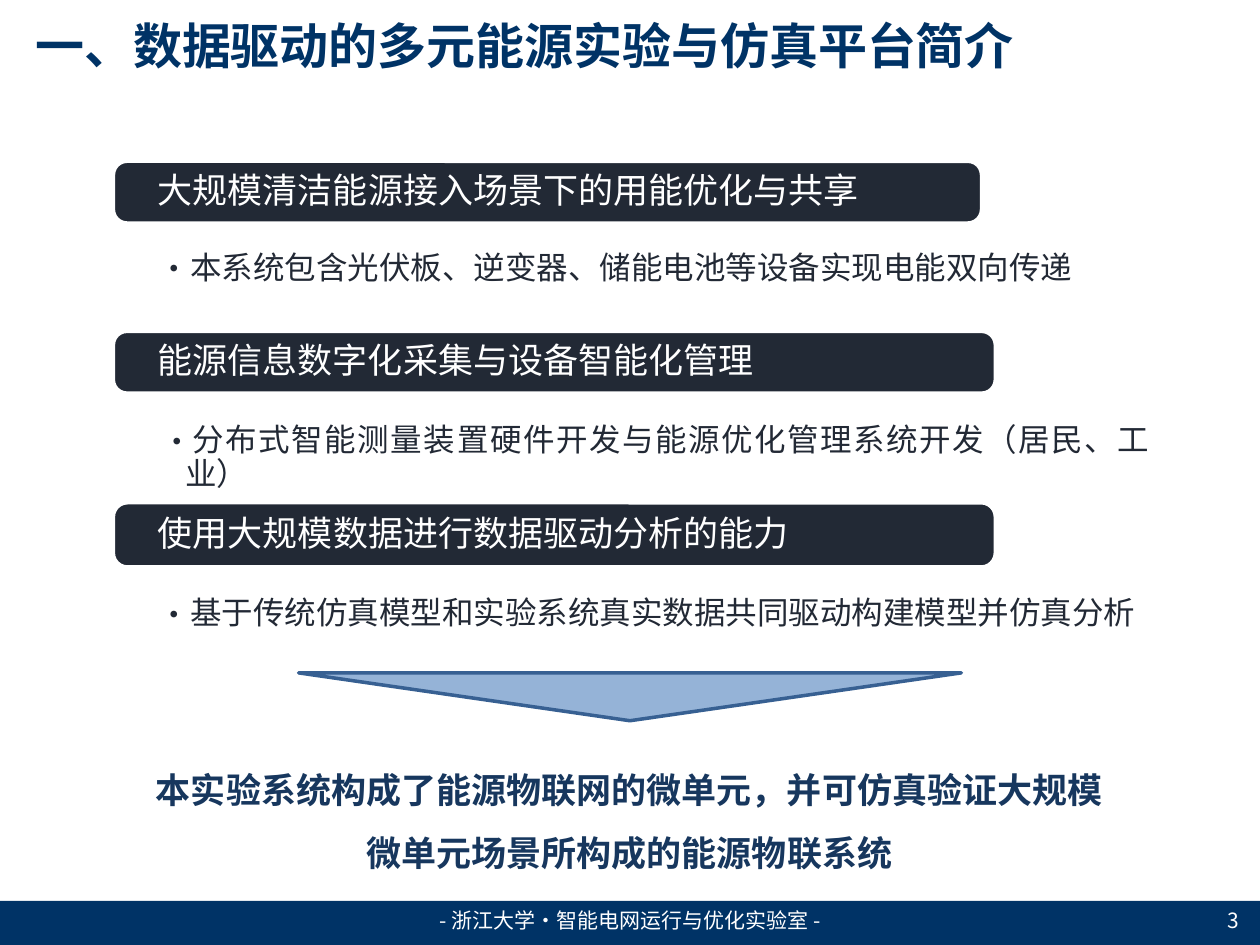
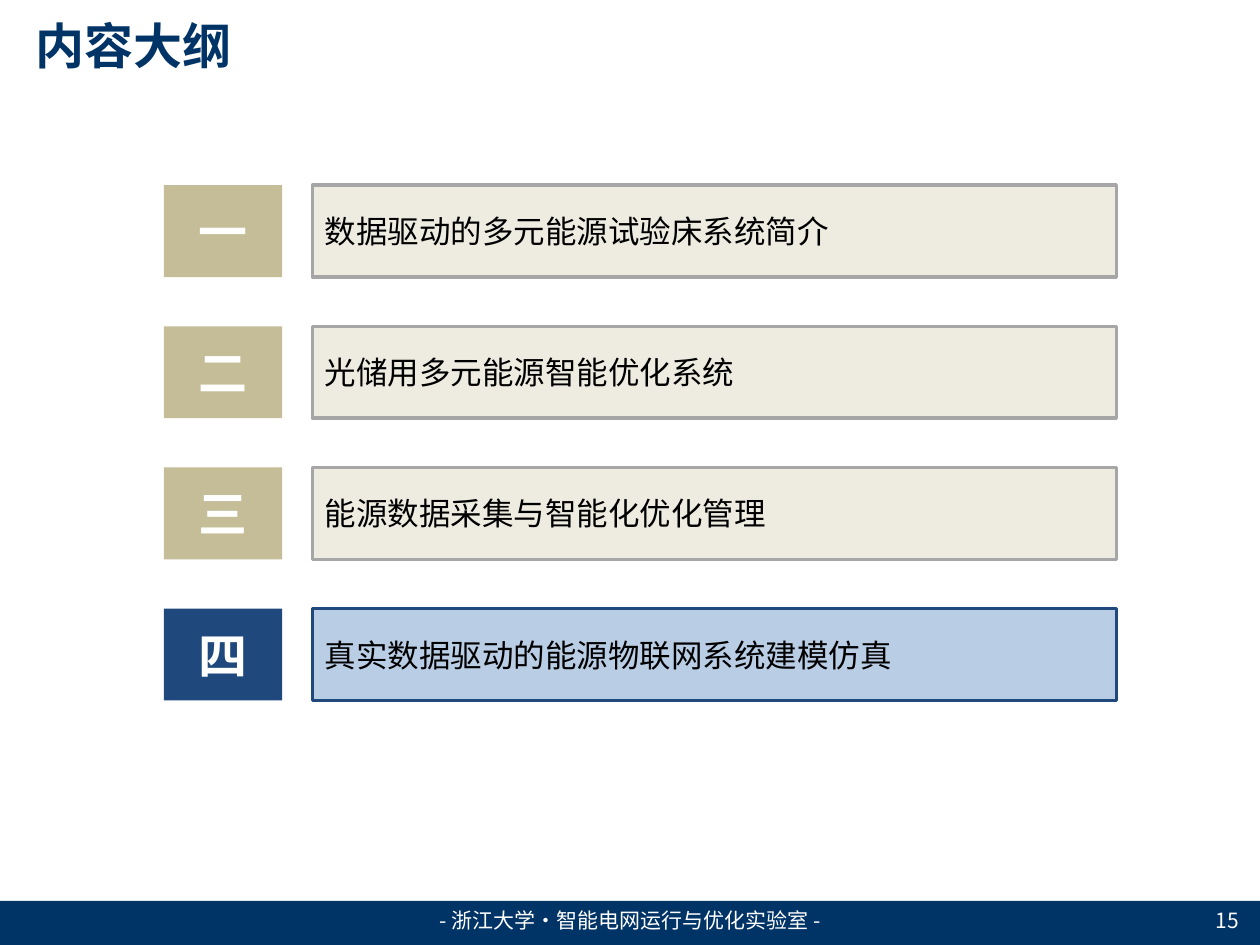
from pptx import Presentation
from pptx.dml.color import RGBColor
from pptx.enum.shapes import MSO_SHAPE
from pptx.enum.text import MSO_ANCHOR, PP_ALIGN
from pptx.oxml.ns import qn
from pptx.util import Inches, Pt
from lxml import etree

RECT = MSO_SHAPE.RECTANGLE
ROUNDED = MSO_SHAPE.ROUNDED_RECTANGLE
MERGE = MSO_SHAPE.FLOWCHART_MERGE
TOP, MIDDLE = MSO_ANCHOR.TOP, MSO_ANCHOR.MIDDLE
LEFT, CENTER, RIGHT, JUSTIFY = PP_ALIGN.LEFT, PP_ALIGN.CENTER, PP_ALIGN.RIGHT, PP_ALIGN.JUSTIFY
TITLE_ONLY = 5

FONT = "Noto Sans CJK SC"
COLORS = {
    "navy": "003366", "white": "FFFFFF", "black": "000000", "ink": "222935",
    "arrow": "95B3D7", "arrow_edge": "376092", "conclusion": "17375E",
    "sand": "EEECE1", "sand_edge": "A6A6A6", "khaki": "C4BD97",
    "sky": "B9CDE5", "blue": "1F497D",
}
FOOTER = "- 浙江大学·智能电网运行与优化实验室 -"
DEFAULT_INSETS = (0.1, 0.05, 0.1, 0.05)


def color(name):
    return RGBColor.from_string(COLORS[name])


class SlideBuilder:
    """Holds the deck's style and the slide being built."""

    def __init__(self):
        self.deck = Presentation()
        self.deck.slide_width, self.deck.slide_height = Inches(10), Inches(7.5)
        self.page = None

    def new_page(self, title, number):
        self.page = self.deck.slides.add_slide(self.deck.slide_layouts[TITLE_ONLY])
        self.shape(RECT, (0, 7.15, 10, 0.35), "navy")
        box = self.page.shapes.title
        box.left, box.top, box.width, box.height = map(Inches, (0.18, 0.08, 8.36, 0.55))
        self.set_text(box, title, 28, "navy", bold=True)
        self.text((3.27, 7.1, 3.46, 0.4), FOOTER, 12, "white", align=CENTER)
        self.text((7.6, 7.1, 2.33, 0.4), str(number), 12, "white", align=RIGHT)

    def shape(self, kind, place, fill, edge=None, alpha=None):
        shape = self.page.shapes.add_shape(kind, *map(Inches, place))
        shape.shadow.inherit = False
        shape.fill.solid()
        shape.fill.fore_color.rgb = color(fill)
        if alpha is not None:
            solid = shape._element.spPr.find(qn("a:solidFill"))
            etree.SubElement(solid[0], qn("a:alpha"), val=str(alpha * 1000))
        if edge:
            shape.line.color.rgb = color(edge)
            shape.line.width = Pt(2)
        else:
            shape.line.fill.background()
        return shape

    def text(self, place, words, size, ink, **style):
        box = self.page.shapes.add_textbox(*map(Inches, place))
        self.set_text(box, words, size, ink, **style)

    def set_text(self, box, words, size, ink, bold=False, align=LEFT, anchor=MIDDLE,
                 spacing=None, insets=DEFAULT_INSETS, bullet=False):
        frame = box.text_frame
        margins = dict(zip(("left", "top", "right", "bottom"), insets))
        for side, value in margins.items():
            setattr(frame, f"margin_{side}", Inches(value))
        frame.word_wrap = True
        frame.vertical_anchor = anchor
        para = frame.paragraphs[0]
        para.alignment = align
        if spacing:
            para.line_spacing = spacing
        if bullet:
            self.add_bullet(para)
        span = para.add_run()
        span.text = words
        for name, value in {"name": FONT, "size": Pt(size), "bold": bold}.items():
            setattr(span.font, name, value)
        span.font.color.rgb = color(ink)
        # East Asian typeface
        etree.SubElement(span._r.get_or_add_rPr(), qn("a:ea"), typeface=FONT)

    @staticmethod
    def add_bullet(para):
        para.level = 1
        properties = para._p.get_or_add_pPr()
        indent = Inches(0.19)
        properties.set("marL", str(indent))
        properties.set("indent", str(-indent))
        etree.SubElement(properties, qn("a:buFont"), typeface=FONT)
        etree.SubElement(properties, qn("a:buChar"), char="•")

    def topic(self, heading, detail, panel, bar, spacing):
        detail_panel = self.shape(RECT, panel, "white", alpha=90)
        self.set_text(detail_panel, detail, 18, "ink", align=JUSTIFY, anchor=TOP,
                      spacing=spacing, insets=(0.81, 0.66, 0.81, 0.12), bullet=True)
        heading_bar = self.shape(ROUNDED, bar, "ink", "white")
        heading_bar.adjustments[0] = 0.22
        self.set_text(heading_bar, heading, 20, "white", align=JUSTIFY, spacing=0.9,
                      insets=(0.32, 0.05, 0.32, 0.05))

    def chapter(self, top, numeral, name, current):
        fill, edge, badge = ("sky", "blue", "blue") if current else ("sand", "sand_edge", "khaki")
        name_box = self.shape(RECT, (2.48, top, 6.38, 0.73), fill, edge)
        self.set_text(name_box, name, 18, "black")
        numeral_box = self.shape(RECT, (1.3, top, 0.94, 0.73), badge)
        self.set_text(numeral_box, numeral, 28, "white", bold=True, align=CENTER)


def build_introduction(builder):
    builder.new_page("一、数据驱动的多元能源实验与仿真平台简介", 3)
    # Topics: heading, detail, panel place, bar place, detail line spacing
    topics = [
        ("大规模清洁能源接入场景下的用能优化与共享",
         "本系统包含光伏板、逆变器、储能电池等设备实现电能双向传递",
         (0.45, 1.31, 9.47, 1.05), (0.9, 1.28, 6.89, 0.49), None),
        ("能源信息数字化采集与设备智能化管理",
         "分布式智能测量装置硬件开发与能源优化管理系统开发（居民、工业）",
         (0.47, 2.71, 9.47, 1.05), (0.9, 2.63, 7, 0.49), 0.9),
        ("使用大规模数据进行数据驱动分析的能力",
         "基于传统仿真模型和实验系统真实数据共同驱动构建模型并仿真分析",
         (0.45, 4.08, 9.47, 1.25), (0.9, 3.99, 7, 0.51), 0.9),
    ]
    for topic in topics:
        builder.topic(*topic)
    # Conclusion
    builder.shape(MERGE, (2.37, 5.34, 5.26, 0.38), "arrow", "arrow_edge")
    builder.text((1.02, 5.88, 7.95, 1.11),
                 "本实验系统构成了能源物联网的微单元，并可仿真验证大规模微单元场景所构成的能源物联系统",
                 20, "conclusion", bold=True, align=CENTER, anchor=TOP, spacing=1.5)


def build_outline(builder):
    builder.new_page("内容大纲", 15)
    chapters = [
        ("一", "数据驱动的多元能源试验床系统简介"),
        ("二", "光储用多元能源智能优化系统"),
        ("三", "能源数据采集与智能化优化管理"),
        ("四", "真实数据驱动的能源物联网系统建模仿真"),
    ]
    first_top, pitch = 1.47, 1.12
    for row, (numeral, name) in enumerate(chapters):
        builder.chapter(first_top + row * pitch, numeral, name, current=numeral == "四")


def main():
    builder = SlideBuilder()
    build_introduction(builder)
    build_outline(builder)
    builder.deck.save("out.pptx")


if __name__ == "__main__":
    main()
